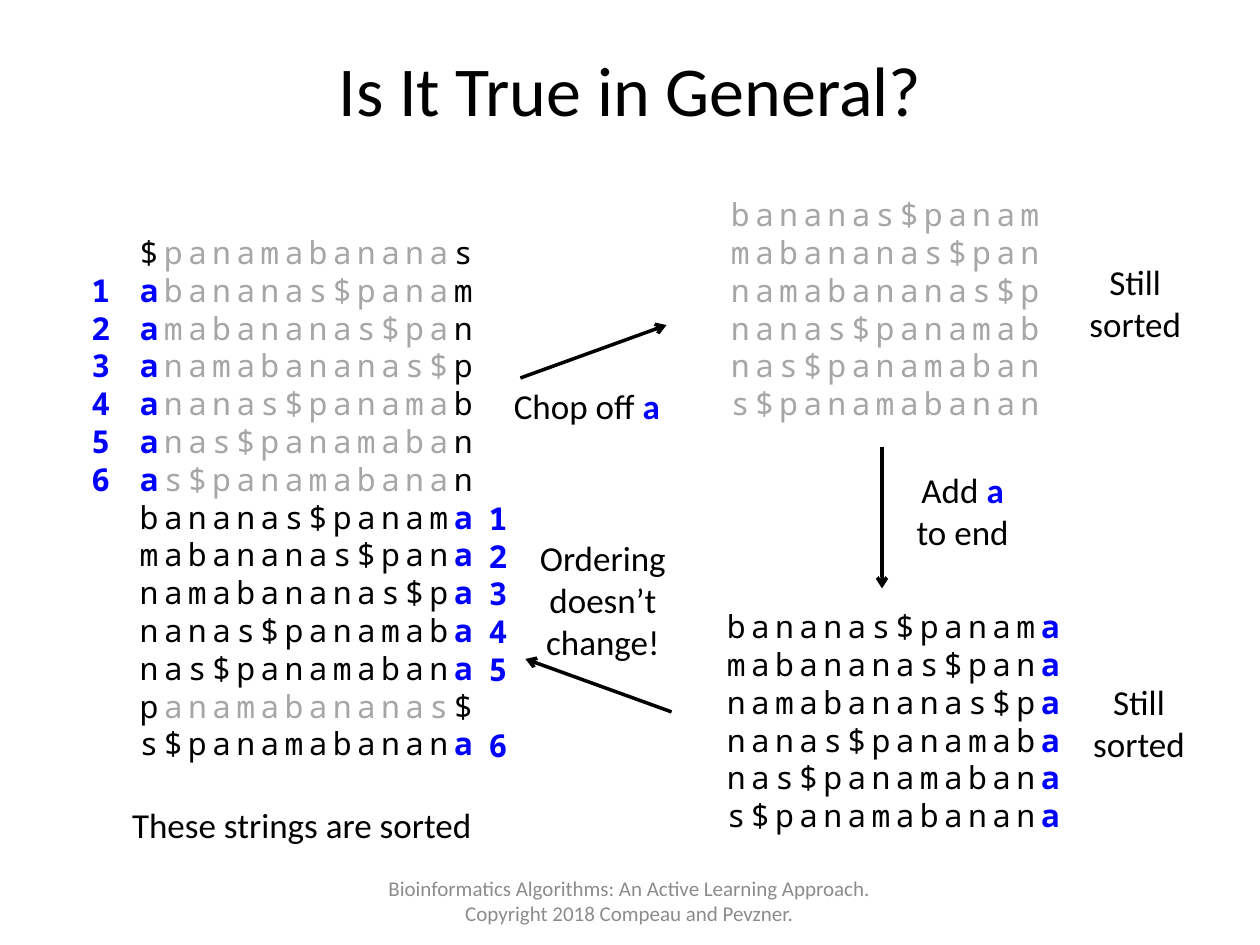
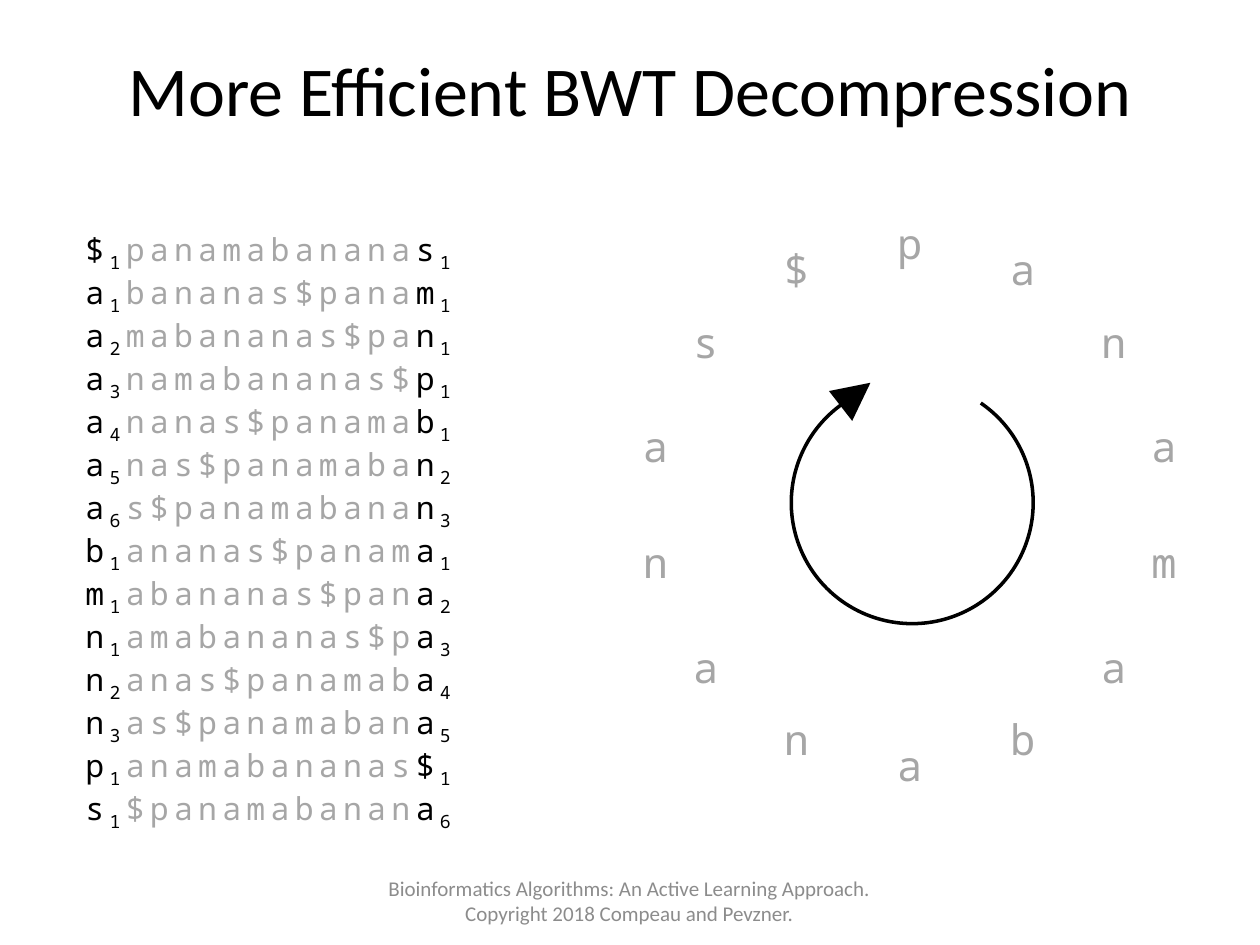
"""Build two slides on the first-last property and on inverting the Burrows-Wheeler transform."""
from math import cos, pi, sin

from pptx import Presentation
from pptx.dml.color import RGBColor
from pptx.enum.shapes import MSO_CONNECTOR as CONNECTOR, MSO_SHAPE as SHAPE
from pptx.enum.text import MSO_ANCHOR as ANCHOR, MSO_AUTO_SIZE as AUTO, PP_ALIGN as ALIGN
from pptx.oxml.ns import qn
from pptx.util import Inches, Pt
from lxml.etree import SubElement

COLORS = {"ink": "000000", "faded": "A6A6A6", "mark": "0000FF", "footer": "8C8C8C"}
TITLE = {"name": "Calibri", "size": Pt(40), "color": "ink"}
LABEL = {"name": "Calibri", "size": Pt(20), "color": "ink"}
FOOTER = {"name": "Calibri", "size": Pt(12), "color": "footer"}
RANK = {"name": "Noto Sans Mono", "size": Pt(18), "color": "mark", "bold": True}
STRING = {"name": "Noto Sans Mono", "size": Pt(18), "color": "ink", "spc": "300"}
RING = {"name": "Noto Sans Mono", "size": Pt(24), "color": "faded"}
FADED = {"color": "faded"}
MARK = {"color": "mark", "bold": True}
SUBSCRIPT = {"baseline": "-25000"}

GENOME = "panamabananas$"
ROTATIONS = sorted(GENOME[i:] + GENOME[:i] for i in range(len(GENOME)))
FROM_A = [row for row in ROTATIONS if row[0] == "a"]
TO_A = [row for row in ROTATIONS if row[-1] == "a"]
CREDIT = ("Bioinformatics Algorithms: An Active Learning Approach. "
          "Copyright 2018 Compeau and Pevzner.")


def rgb(color):
    return RGBColor.from_string(COLORS[color])


def format_run(run, style):
    for key, value in style.items():
        if key == "color":
            run.font.color.rgb = rgb(value)
        elif key in ("spc", "baseline"):
            run._r.get_or_add_rPr().set(key, value)
        else:
            setattr(run.font, key, value)


def write_runs(paragraph, runs, style):
    for text, changes in runs:
        for i, piece in enumerate(text.split("\n")):
            if i:
                paragraph.add_line_break()
            if piece:
                run = paragraph.add_run()
                run.text = piece
                format_run(run, {**style, **changes})


def write_lines(frame, lines, style, align, pitch=None):
    for i, runs in enumerate(lines):
        paragraph = frame.add_paragraph() if i else frame.paragraphs[0]
        paragraph.alignment = align
        if pitch:
            paragraph.line_spacing = Pt(pitch)
        write_runs(paragraph, runs, style)


def add_text(slide, place, lines, style, align=ALIGN.LEFT, pitch=None, wrap=False):
    box = slide.shapes.add_textbox(*map(Inches, place))
    frame = box.text_frame
    frame.word_wrap = wrap
    frame.auto_size = AUTO.SHAPE_TO_FIT_TEXT
    write_lines(frame, lines, style, align, pitch)
    return frame


def add_strings(slide, place, lines, align=ALIGN.LEFT, pitch=21.6):
    add_text(slide, place, lines, STRING, align, pitch, wrap=True)


def add_label(slide, place, *runs, align=ALIGN.CENTER):
    add_text(slide, place, [runs], LABEL, align)


def add_arrow(slide, start, end):
    arrow = slide.shapes.add_connector(CONNECTOR.STRAIGHT, *map(Inches, start + end))
    arrow.line.color.rgb = rgb("ink")
    arrow.line.width = Pt(2)
    SubElement(arrow.line._get_or_add_ln(), qn("a:tailEnd"), type="arrow")
    SubElement(arrow._element.spPr, qn("a:effectLst"))


def add_titled_slide(deck, heading):
    slide = deck.slides.add_slide(deck.slide_layouts[5])
    title = slide.shapes.title
    title.left, title.top, title.width, title.height = map(Inches, (0.5, 0.08, 9, 1.25))
    title.text_frame.vertical_anchor = ANCHOR.MIDDLE
    write_lines(title.text_frame, [[(heading, {})]], TITLE, ALIGN.CENTER)
    return slide


def add_footer(slide):
    frame = add_text(slide, (2.83, 6.95, 4.33, 0.4), [[(CREDIT, {})]], FOOTER,
                     ALIGN.CENTER, wrap=True)
    frame.auto_size = AUTO.NONE
    frame.vertical_anchor = ANCHOR.MIDDLE


def marked_end(row):
    return [(row[:-1], {}), (row[-1], MARK)]


def marked_row(rank, row):
    if row[0] == "a":
        return [(f"{rank} a", MARK), (row[1:-1], FADED), (row[-1], {})]
    if row[-1] == "a":
        return marked_end(row)
    return [(row[0], {}), (row[1:-1], FADED), (row[-1], {})]


def numbered_row(index):
    row = ROTATIONS[index]
    first, last = (str(sum(other[end] == row[end] for other in ROTATIONS[:index + 1]))
                   for end in (0, -1))
    return [(row[0], {}), (first, SUBSCRIPT), (row[1:-1], FADED),
            (row[-1], {}), (last, SUBSCRIPT)]


def build_ordering_slide(deck):
    slide = add_titled_slide(deck, "Is It True in General?")
    add_strings(slide, (0.52, 1.8, 3.33, 4.34),
                [marked_row(rank, row) for rank, row in enumerate(ROTATIONS)], ALIGN.RIGHT)
    add_label(slide, (0.95, 6.33, 2.93, 0.44), ("These strings are sorted", {}),
              align=ALIGN.LEFT)
    add_arrow(slide, (4.13, 3), (5.29, 2.58))
    add_strings(slide, (5.52, 1.5, 2.83, 1.92),
                [[(row[1:], FADED)] for row in FROM_A], ALIGN.RIGHT)
    add_label(slide, (3.98, 3, 1.37, 0.44), ("Chop off", {}), (" a", MARK), align=ALIGN.LEFT)
    add_strings(slide, (5.67, 4.77, 3.33, 1.92), [marked_end(row) for row in TO_A])
    add_arrow(slide, (7, 3.55), (7, 4.67))
    add_label(slide, (7.17, 3.67, 0.94, 0.77), ("Add ", {}), ("a\n", MARK), ("to end", {}))
    for left, top in ((8.54, 2.02), (8.57, 5.35)):
        add_label(slide, (left, top, 0.94, 0.77), ("Still\nsorted", {}))
    add_arrow(slide, (5.33, 5.65), (4.17, 5.23))
    add_label(slide, (4.18, 4.21, 1.21, 1.11), ("Ordering\ndoesn’t\nchange!", {}))
    ranks = add_text(slide, (3.78, 3.91, 0.35, 2.22),
                     [[(str(rank), {})] for rank in range(1, 7)], RANK, pitch=21.6)
    ranks.paragraphs[-1].space_before = Pt(21.6)
    add_footer(slide)


def add_letter_ring(slide, center_x, center_y, radius):
    for i, letter in enumerate(GENOME):
        angle = 2 * pi * i / len(GENOME)
        left = center_x + radius * sin(angle) - 0.2
        top = center_y - radius * cos(angle) - 0.25
        add_text(slide, (left, top, 0.4, 0.5), [[(letter, {})]], RING, ALIGN.CENTER, 28.8)


def add_turning_arrow(slide):
    turn = slide.shapes.add_shape(SHAPE.ARC, *map(Inches, (6.28, 3.03, 1.92, 1.92)))
    for i, degrees in enumerate((304.54, 234.11)):
        turn.adjustments[i] = degrees * 0.6
    turn.fill.background()
    turn.line.color.rgb = rgb("ink")
    turn.line.width = Pt(2)
    turn.shadow.inherit = False
    head = slide.shapes.add_shape(SHAPE.ISOSCELES_TRIANGLE,
                                  *map(Inches, (6.64, 2.98, 0.3, 0.3)))
    head.rotation = 52.1
    head.fill.solid()
    head.fill.fore_color.rgb = rgb("ink")
    head.line.fill.background()
    head.shadow.inherit = False


def build_decompression_slide(deck):
    slide = add_titled_slide(deck, "More Efficient BWT Decompression")
    add_letter_ring(slide, 7.22, 4, 2.07)
    add_turning_arrow(slide)
    add_strings(slide, (0.58, 1.78, 3.58, 4.34),
                [numbered_row(index) for index in range(len(ROTATIONS))], pitch=24.55)
    add_footer(slide)


def main():
    deck = Presentation()
    deck.slide_width, deck.slide_height = Inches(10), Inches(7.5)
    build_ordering_slide(deck)
    build_decompression_slide(deck)
    deck.save("out.pptx")


if __name__ == "__main__":
    main()
